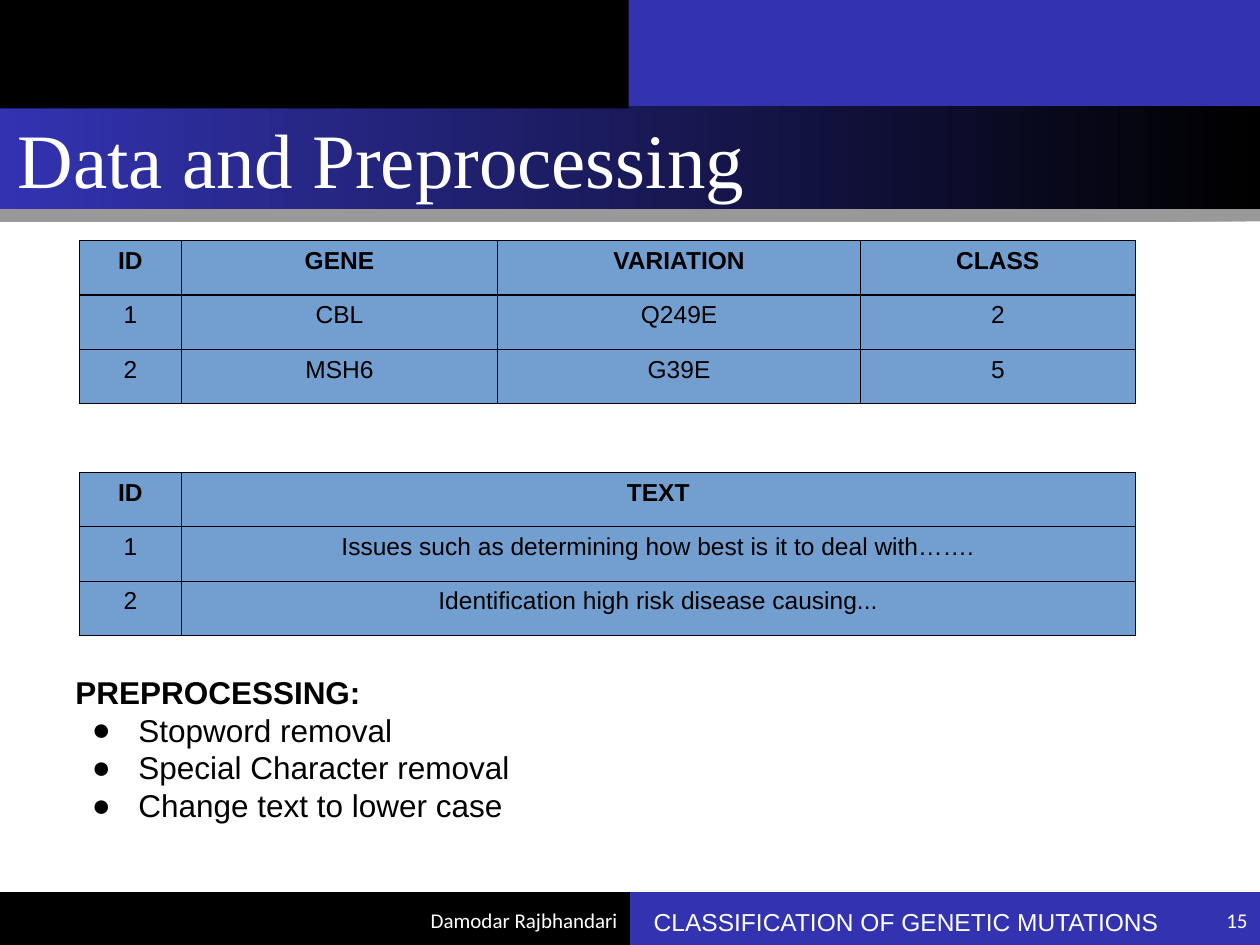
from dataclasses import dataclass

from lxml.etree import SubElement
from pptx import Presentation
from pptx.dml.color import RGBColor as Color
from pptx.enum.shapes import MSO_SHAPE as Shape
from pptx.enum.text import MSO_ANCHOR as Anchor, MSO_AUTO_SIZE as AutoSize, PP_ALIGN as Align
from pptx.oxml.ns import qn
from pptx.util import Inches, Pt

COLUMNS, ROWS = 100, 75


@dataclass(frozen=True)
class Theme:
    black: str = "000000"
    blue: str = "3333B2"
    cell: str = "729FCF"
    white: str = "FFFFFF"
    body_font: str = "Arial"
    footer_font: str = "Calibri"
    title_font: str = "Times New Roman"
    title: int = 44
    body: int = 18
    label: int = 14
    footer: int = 12
    border: float = 0.75


def write(para, text, font, size, color, bold=False, align=Align.LEFT):
    para.alignment = align
    span = para.add_run()
    span.text = text
    span.font.name = font
    span.font.size = Pt(size)
    span.font.bold = bold
    span.font.color.rgb = Color.from_string(color)


def add_solid(parent, color):
    fill = SubElement(parent, qn("a:solidFill"))
    return SubElement(fill, qn("a:srgbClr"), val=color)


class SlideBuilder:
    def __init__(self, deck, theme):
        self.deck = deck
        self.theme = theme
        self.page = deck.slides.add_slide(deck.slide_layouts[5])

    def place(self, column, row, width, height):
        across = self.deck.slide_width / COLUMNS
        down = self.deck.slide_height / ROWS
        return [round(n) for n in (column * across, row * down, width * across, height * down)]

    def block(self, area, color):
        box = self.page.shapes.add_shape(Shape.RECTANGLE, *self.place(*area))
        box.shadow.inherit = False
        box.line.fill.background()
        box.fill.solid()
        box.fill.fore_color.rgb = Color.from_string(color)
        return box

    def title_band(self, area, start, end):
        band = self.block(area, start)
        band.fill.gradient()
        band.fill.gradient_angle = 180
        for stop, color in zip(band.fill.gradient_stops, (end, start)):
            stop.color.rgb = Color.from_string(color)
        effects = band.element.spPr.find(qn("a:effectLst"))
        shadow = SubElement(effects, qn("a:outerShdw"), blurRad="0", dist=str(Pt(7)),
                            dir="5400000", algn="t", rotWithShape="0")
        tint = SubElement(shadow, qn("a:srgbClr"), val=self.theme.black)
        SubElement(tint, qn("a:alpha"), val="40000")

    def title(self, area, text):
        box = self.page.shapes.title
        self.page.shapes.element.append(box.element)
        box.left, box.top, box.width, box.height = self.place(*area)
        frame = box.text_frame
        frame.auto_size = AutoSize.NONE
        frame.vertical_anchor = Anchor.MIDDLE
        write(frame.paragraphs[0], text, self.theme.title_font, self.theme.title, self.theme.white)

    def text_box(self, area, inset=0.1, anchor=Anchor.TOP):
        frame = self.page.shapes.add_textbox(*self.place(*area)).text_frame
        frame.word_wrap = True
        frame.vertical_anchor = anchor
        frame.margin_top = frame.margin_bottom = Inches(inset)
        return frame

    def footer(self, area, text):
        frame = self.text_box(area, inset=0.05, anchor=Anchor.MIDDLE)
        write(frame.paragraphs[0], text, self.theme.footer_font, self.theme.footer,
              self.theme.white, align=Align.RIGHT)

    def label(self, area, text):
        frame = self.text_box(area)
        write(frame.paragraphs[0], text, self.theme.body_font, self.theme.label, self.theme.white)

    def bullet_list(self, area, heading, items):
        frame = self.text_box(area)
        style = dict(font=self.theme.body_font, size=self.theme.body, color=self.theme.black)
        write(frame.paragraphs[0], heading, bold=True, **style)
        for item in items:
            para = frame.add_paragraph()
            write(para, item, **style)
            props = para._p.get_or_add_pPr()
            props.set("marL", str(Inches(0.5)))
            props.set("indent", str(Inches(-0.37)))
            tint = SubElement(props, qn("a:buClr"))
            SubElement(tint, qn("a:srgbClr"), val=self.theme.black)
            SubElement(props, qn("a:buFont"), typeface=self.theme.body_font)
            SubElement(props, qn("a:buChar"), char="●")

    def table(self, column, row, widths, row_height, records):
        area = self.place(column, row, sum(widths), row_height * len(records))
        grid = self.page.shapes.add_table(len(records), len(widths), *area).table
        grid.first_row = grid.horz_banding = False
        for index, width in enumerate(widths):
            grid.columns[index].width = self.place(0, 0, width, 0)[2]
        for r, record in enumerate(records):
            for c, text in enumerate(record):
                self.cell(grid.cell(r, c), text, bold=r == 0)

    def cell(self, cell, text, bold):
        write(cell.text_frame.paragraphs[0], text, self.theme.body_font, self.theme.label,
              self.theme.black, bold=bold, align=Align.CENTER)
        props = cell._tc.get_or_add_tcPr()
        for side in ("lnL", "lnR", "lnT", "lnB"):
            add_solid(SubElement(props, qn(f"a:{side}"), w=str(Pt(self.theme.border))),
                      self.theme.black)
        cell.fill.solid()
        cell.fill.fore_color.rgb = Color.from_string(self.theme.cell)


def main():
    deck = Presentation()
    deck.slide_width, deck.slide_height = Inches(10), Inches(7.5)
    theme = Theme()
    slide = SlideBuilder(deck, theme)

    footer_top, footer_text_top = 70.8, 71
    slide.block((50, footer_top, 50, ROWS - footer_top), theme.blue)
    slide.block((0, footer_top, 50, ROWS - footer_top), theme.black)
    slide.title_band((0, 8.3, 100, 8.3), theme.blue, theme.black)
    slide.footer((11.7, footer_text_top, 38.3, 4), "Damodar Rajbhandari")
    slide.block((49.2, -0.1, 50.8, 8.5), theme.blue)
    slide.block((-0.1, -0.1, 50, 8.7), theme.black)
    slide.title((0.4, 8.5, 98.5, 8.1), "Data and Preprocessing")
    slide.footer((88.3, footer_text_top, 11.7, 4), "15")

    slide.table(6.3, 19.1, (8.1, 25.1, 28.8, 21.8), 4.32, [
        ("ID", "GENE", "VARIATION", "CLASS"),
        ("1", "CBL", "Q249E", "2"),
        ("2", "MSH6", "G39E", "5"),
    ])
    slide.table(6.3, 37.5, (8.1, 75.7), 4.32, [
        ("ID", "TEXT"),
        ("1", "Issues such as determining how best is it to deal with……."),
        ("2", "Identification high risk disease causing..."),
    ])
    slide.bullet_list((5, 52.4, 82.2, 14.6), "PREPROCESSING:", [
        "Stopword removal",
        "Special Character removal",
        "Change text to lower case",
    ])
    slide.label((50.9, footer_text_top, 46, 4), "CLASSIFICATION OF GENETIC MUTATIONS")
    deck.save("out.pptx")


if __name__ == "__main__":
    main()
